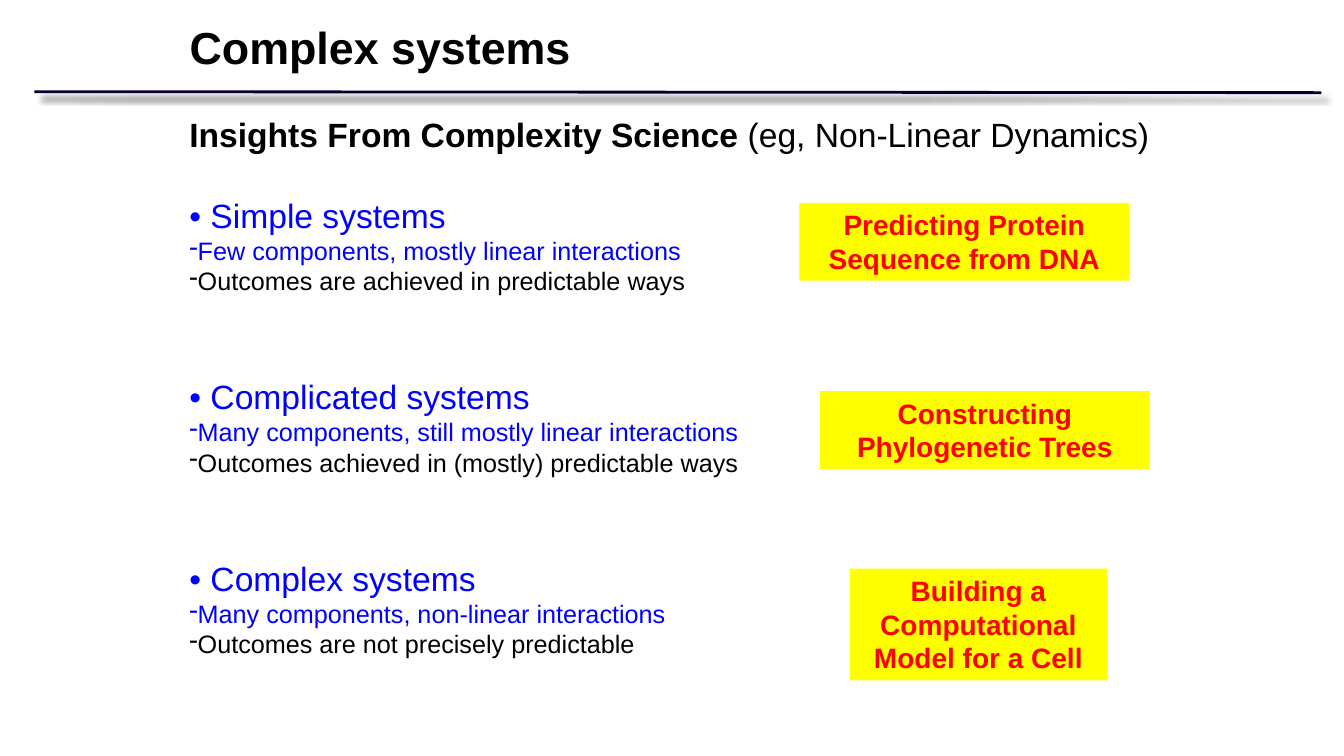
"""Build the slide on simple, complicated and complex systems."""
from lxml import etree
from pptx import Presentation
from pptx import util as u
from pptx.dml import color
from pptx.enum import shapes, text
from pptx.oxml import ns

BLACK, BLUE, RED, YELLOW, NAVY = "000000", "0000FF", "FF0000", "FFFF00", "000033"
LEFT, WIDTH = 128.2, 707
SYSTEMS = [
    ("• Simple systems",
     "Few components, mostly linear interactions",
     "Outcomes are achieved in predictable ways"),
    ("• Complicated systems",
     "Many components, still mostly linear interactions",
     "Outcomes achieved in (mostly) predictable ways"),
    ("• Complex systems",
     "Many components, non-linear interactions",
     "Outcomes are not precisely predictable"),
]
EXAMPLES = [
    ("Predicting Protein Sequence from DNA", 571, 144.9, 235.6, 55.6),
    ("Constructing Phylogenetic Trees", 585.7, 279.4, 235.6, 55.6),
    ("Building a Computational Model for a Cell", 607, 406.1, 183.8, 79.9),
]


def rgb(value):
    """Turn a hex string into a colour."""
    return color.RGBColor.from_string(value)


def set_values(target, values):
    """Set each attribute named in a dict."""
    for name, value in values.items():
        setattr(target, name, value)


def place(shape, left, top, width, height):
    """Move and size a shape, in points."""
    values = {"left": left, "top": top, "width": width, "height": height}
    set_values(shape, {name: u.Pt(value) for name, value in values.items()})


def set_frame(shape, anchor=text.MSO_ANCHOR.TOP):
    """Give a shape a wrapping text frame with even margins and return it."""
    set_values(shape.text_frame, {
        "word_wrap": True, "auto_size": text.MSO_AUTO_SIZE.NONE,
        "vertical_anchor": anchor,
        "margin_left": u.Pt(7.2), "margin_right": u.Pt(7.2),
        "margin_top": u.Pt(3.6), "margin_bottom": u.Pt(3.6)})
    return shape.text_frame


def add_run(paragraph, words, size, hex_color, bold=False):
    """Add a formatted run to a paragraph."""
    run = paragraph.add_run()
    run.text = words
    set_values(run.font, {"name": "Arial", "size": u.Pt(size), "bold": bold})
    run.font.color.rgb = rgb(hex_color)


def add_dash(paragraph):
    """Give a paragraph a dash bullet."""
    properties = paragraph._p.get_or_add_pPr()
    properties.set("marL", "0")
    properties.set("indent", "0")
    etree.SubElement(properties, ns.qn("a:buChar")).set("char", "-")


def add_rule(slide):
    """Draw the navy rule with its soft shadow."""
    rule = slide.shapes.add_connector(
        shapes.MSO_CONNECTOR.STRAIGHT, u.Pt(24.5), u.Pt(65.5), u.Pt(943.9), u.Pt(66.2))
    rule.line.color.rgb = rgb(NAVY)
    rule.line.width = u.Pt(2)
    effects = etree.SubElement(rule._element.spPr, ns.qn("a:effectLst"))
    shadow = etree.SubElement(effects, ns.qn("a:outerShdw"), {
        "blurRad": str(u.Pt(4)), "dist": str(u.Pt(6)), "dir": "2700000",
        "algn": "ctr", "rotWithShape": "0"})
    shade = etree.SubElement(shadow, ns.qn("a:srgbClr"), {"val": BLACK})
    etree.SubElement(shade, ns.qn("a:alpha"), {"val": "50000"})


def add_title(slide):
    """Fill and place the title."""
    title = slide.shapes.title
    place(title, LEFT, 10.8, WIDTH, 48)
    paragraph = set_frame(title).paragraphs[0]
    paragraph.alignment = text.PP_ALIGN.LEFT
    add_run(paragraph, "Complex systems", 32, BLACK, True)


def add_body(slide):
    """Write the heading and the three kinds of system."""
    box = slide.shapes.add_textbox(0, 0, 0, 0)
    place(box, LEFT, 78, WIDTH, 400)
    frame = set_frame(box)
    heading = frame.paragraphs[0]
    add_run(heading, "Insights From Complexity Science ", 24, BLACK, True)
    add_run(heading, "(eg, Non-Linear Dynamics)", 24, BLACK)
    for index, (name, parts, outcome) in enumerate(SYSTEMS):
        paragraph = frame.add_paragraph()
        paragraph.space_before = u.Pt(57.6 if index else 28.8)
        add_run(paragraph, name, 24, BLUE)
        for words, hex_color in ((parts, BLUE), (outcome, BLACK)):
            paragraph = frame.add_paragraph()
            add_dash(paragraph)
            add_run(paragraph, words, 18, hex_color)


def add_example(slide, words, *position):
    """Add a yellow box that names an example."""
    box = slide.shapes.add_shape(shapes.MSO_SHAPE.RECTANGLE, 0, 0, 0, 0)
    place(box, *position)
    box.shadow.inherit = False
    box.fill.solid()
    box.fill.fore_color.rgb = rgb(YELLOW)
    box.line.fill.background()
    paragraph = set_frame(box).paragraphs[0]
    paragraph.alignment = text.PP_ALIGN.CENTER
    add_run(paragraph, words, 20, RED, True)


def main():
    """Build and save the slide."""
    presentation = Presentation()
    set_values(presentation, {"slide_width": u.Pt(960), "slide_height": u.Pt(540)})
    slide = presentation.slides.add_slide(presentation.slide_layouts[5])
    add_rule(slide)
    add_title(slide)
    add_body(slide)
    for example in EXAMPLES:
        add_example(slide, *example)
    presentation.save("out.pptx")


if __name__ == "__main__":
    main()
